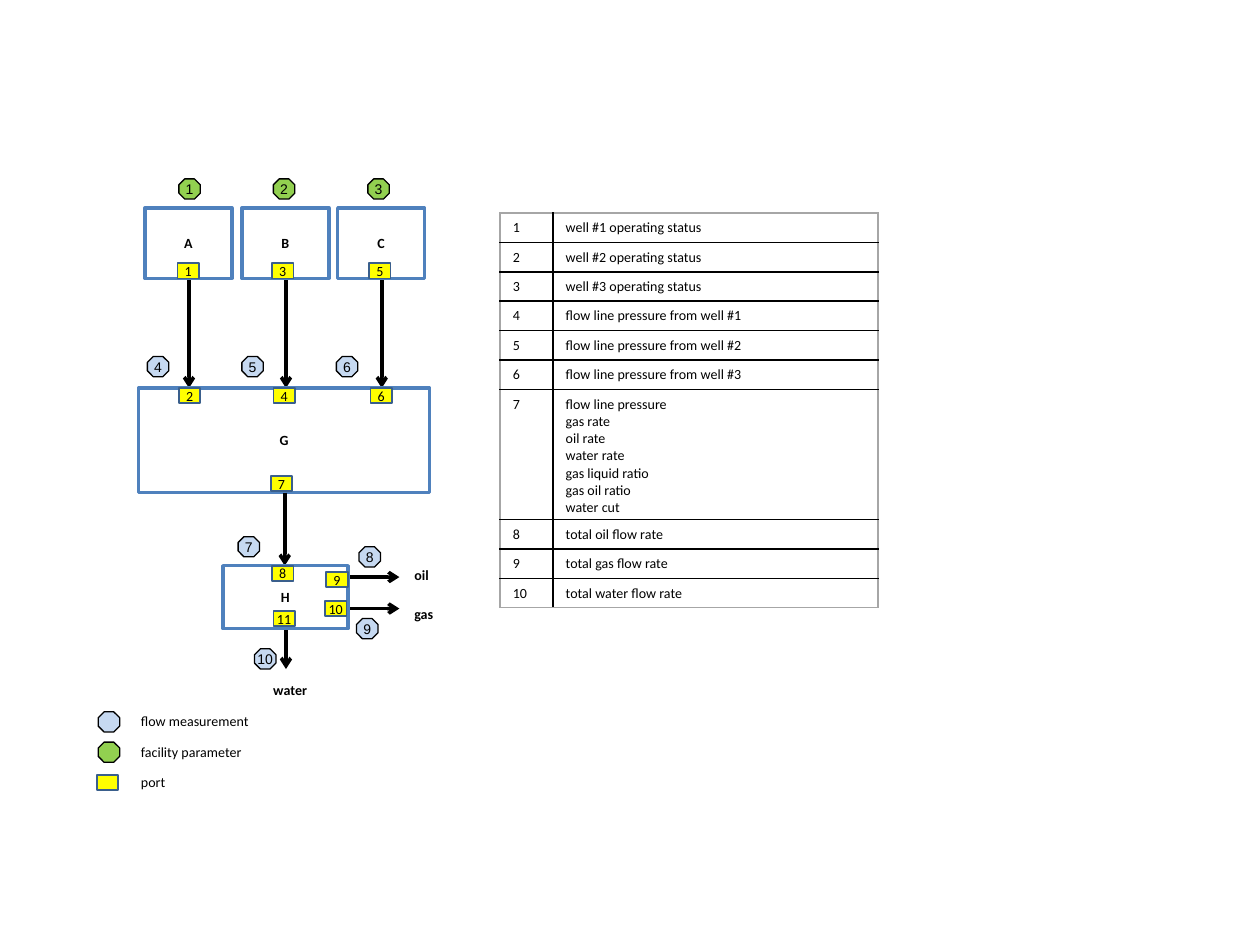
from lxml import etree
from pptx import Presentation
from pptx.dml.color import RGBColor
from pptx.enum.shapes import MSO_CONNECTOR, MSO_SHAPE
from pptx.enum.text import MSO_ANCHOR, PP_ALIGN
from pptx.oxml.ns import qn
from pptx.util import Inches, Pt

COLORS = {
    "black": "000000", "white": "FFFFFF", "unit": "4F81BD",
    "port": "FFFF00", "port_line": "3A5F8C",
    "flow": "C6D9F1", "parameter": "92D050", "frame": "A6A6A6",
}
MARK_W, MARK_H, PORT_H = 0.17, 0.16, 0.12

FACTS = [
    "well #1 operating status", "well #2 operating status",
    "well #3 operating status", "flow line pressure from well #1",
    "flow line pressure from well #2", "flow line pressure from well #3",
    "flow line pressure\ngas rate\noil rate\nwater rate\n"
    "gas liquid ratio\ngas oil ratio\nwater cut",
    "total oil flow rate", "total gas flow rate", "total water flow rate",
]

prs = Presentation()
prs.slide_width, prs.slide_height = Inches(10), Inches(7.5)
slide = prs.slides.add_slide(prs.slide_layouts[6])


def rgb(name):
    return RGBColor.from_string(COLORS[name])


def write(frame, text, font="Calibri", bold=False, align=PP_ALIGN.LEFT):
    for i, line in enumerate(text.split("\n")):
        paragraph = frame.paragraphs[0] if i == 0 else frame.add_paragraph()
        paragraph.alignment = align
        run = paragraph.add_run()
        run.text = line
        run.font.name, run.font.size, run.font.bold = font, Pt(8), bold
        run.font.color.rgb = rgb("black")


def add_label(x, y, width, text, bold=False):
    label = slide.shapes.add_textbox(Inches(x), Inches(y), Inches(width), Inches(0.24))
    label.text_frame.word_wrap = False
    write(label.text_frame, text, bold=bold)


def add_block(kind, x, y, width, height, fill, line, weight, text="", **style):
    block = slide.shapes.add_shape(kind, Inches(x), Inches(y), Inches(width), Inches(height))
    block.shadow.inherit = False
    block.fill.solid()
    block.fill.fore_color.rgb = rgb(fill)
    block.line.color.rgb = rgb(line)
    block.line.width = Pt(weight)
    if text:
        frame = block.text_frame
        frame.word_wrap = False
        frame.vertical_anchor = MSO_ANCHOR.MIDDLE
        frame.margin_left = frame.margin_right = 0
        frame.margin_top = frame.margin_bottom = 0
        write(frame, text, align=PP_ALIGN.CENTER, **style)
    return block


def add_unit(x, y, width, height, name):
    add_block(MSO_SHAPE.RECTANGLE, x, y, width, height, "white", "unit", 2, name, bold=True)


def add_port(x, y, number=""):
    add_block(MSO_SHAPE.RECTANGLE, x, y, MARK_W, PORT_H, "port", "port_line", 1, number)


def add_mark(x, y, kind, number=""):
    mark = add_block(MSO_SHAPE.OCTAGON, x, y, MARK_W, MARK_H, kind, "black", 0.75,
                     number, font="Arial")
    mark.adjustments[0] = 0.293


def add_arrow(x1, y1, x2, y2):
    arrow = slide.shapes.add_connector(
        MSO_CONNECTOR.STRAIGHT, Inches(x1), Inches(y1), Inches(x2), Inches(y2))
    arrow.line.color.rgb = rgb("black")
    arrow.line.width = Pt(2)
    etree.SubElement(arrow.line._get_or_add_ln(), qn("a:tailEnd"), type="arrow")
    etree.SubElement(arrow._element.spPr, qn("a:effectLst"))


# Wells A to C with status marks, flow lines and outlet ports
def add_wells(left, top):
    port_offsets = (0.26, 1.01, 1.78)
    for i, (name, offset) in enumerate(zip("ABC", (0, 0.77, 1.53))):
        x = left + offset
        add_arrow(x + 0.35, top + 0.56, x + 0.35, top + 1.43)
        add_unit(x, top, 0.69, 0.56, name)
        add_port(left + port_offsets[i], top + 0.44, str(2 * i + 1))
        add_mark(left + 0.27 + 0.75 * i, top - 0.23, "parameter", str(i + 1))
        add_mark(left + 0.02 + 0.75 * i, top + 1.18, "flow", str(i + 4))


# Gathering unit G with three inlets and one outlet
def add_gathering(left, top):
    add_unit(left, top, 2.31, 0.83, "G")
    add_arrow(left + 1.16, top + 0.83, left + 1.16, top + 1.41)
    for number, offset in zip("246", (0.32, 1.07, 1.84)):
        add_port(left + offset, top, number)
    add_port(left + 1.05, top + 0.7, "7")


# Separator H with oil, gas and water outlets
def add_separator(left, top):
    for x1, y1, x2, y2 in [(0.92, 0.09, 1.4, 0.09), (0.95, 0.34, 1.4, 0.34),
                           (0.5, 0.5, 0.5, 0.82)]:
        add_arrow(left + x1, top + y1, left + x2, top + y2)
    add_unit(left, top, 0.99, 0.5, "H")
    for number, x, y in [("8", 0.39, 0), ("9", 0.82, 0.05),
                         ("10", 0.81, 0.28), ("11", 0.4, 0.36)]:
        add_port(left + x, top + y, number)
    for number, x, y in [("7", 0.12, -0.23), ("8", 1.08, -0.15),
                         ("9", 1.06, 0.42), ("10", 0.25, 0.66)]:
        add_mark(left + x, top + y, "flow", number)
    for text, x, y, width in [("oil", 1.42, -0.04, 0.34), ("gas", 1.42, 0.27, 0.36),
                              ("water", 0.3, 0.87, 0.48)]:
        add_label(left + x, top + y, width, text, bold=True)


# Key to the symbols
def add_legend(left, top):
    add_mark(left, top + 0.04, "flow")
    add_mark(left, top + 0.28, "parameter")
    add_port(left - 0.01, top + 0.54)
    for i, (text, width) in enumerate([("flow measurement", 1.07),
                                       ("facility parameter", 1.01), ("port", 0.4)]):
        add_label(left + 0.24, top + 0.24 * i, width, text)


def set_border(cell, side, color):
    border = etree.SubElement(cell._tc.get_or_add_tcPr(), qn("a:" + side), w=str(Pt(1)))
    fill = etree.SubElement(border, qn("a:solidFill"))
    etree.SubElement(fill, qn("a:srgbClr"), val=COLORS[color])


# Table of the measured values
def add_measurements(left, top, width, height):
    table = slide.shapes.add_table(len(FACTS), 2, Inches(left), Inches(top),
                                   Inches(width), Inches(height)).table
    table.first_row = table.horz_banding = False
    table.columns[0].width = Inches(0.42)
    table.columns[1].width = Inches(width - 0.42)
    last = len(FACTS) - 1
    for r, fact in enumerate(FACTS):
        table.rows[r].height = Inches(1.03 if "\n" in fact else 0.23)
        for c, text in enumerate((str(r + 1), fact)):
            cell = table.cell(r, c)
            edges = {"lnL": c == 0, "lnR": c == 1, "lnT": r == 0, "lnB": r == last}
            for side, outer in edges.items():
                set_border(cell, side, "frame" if outer else "black")
            cell.fill.solid()
            cell.fill.fore_color.rgb = rgb("white")
            write(cell.text_frame, text)


add_wells(1.15, 1.65)
add_gathering(1.1, 3.08)
add_separator(1.77, 4.49)
add_legend(0.78, 5.61)
add_measurements(3.97, 1.69, 3, 3.13)
prs.save("out.pptx")
